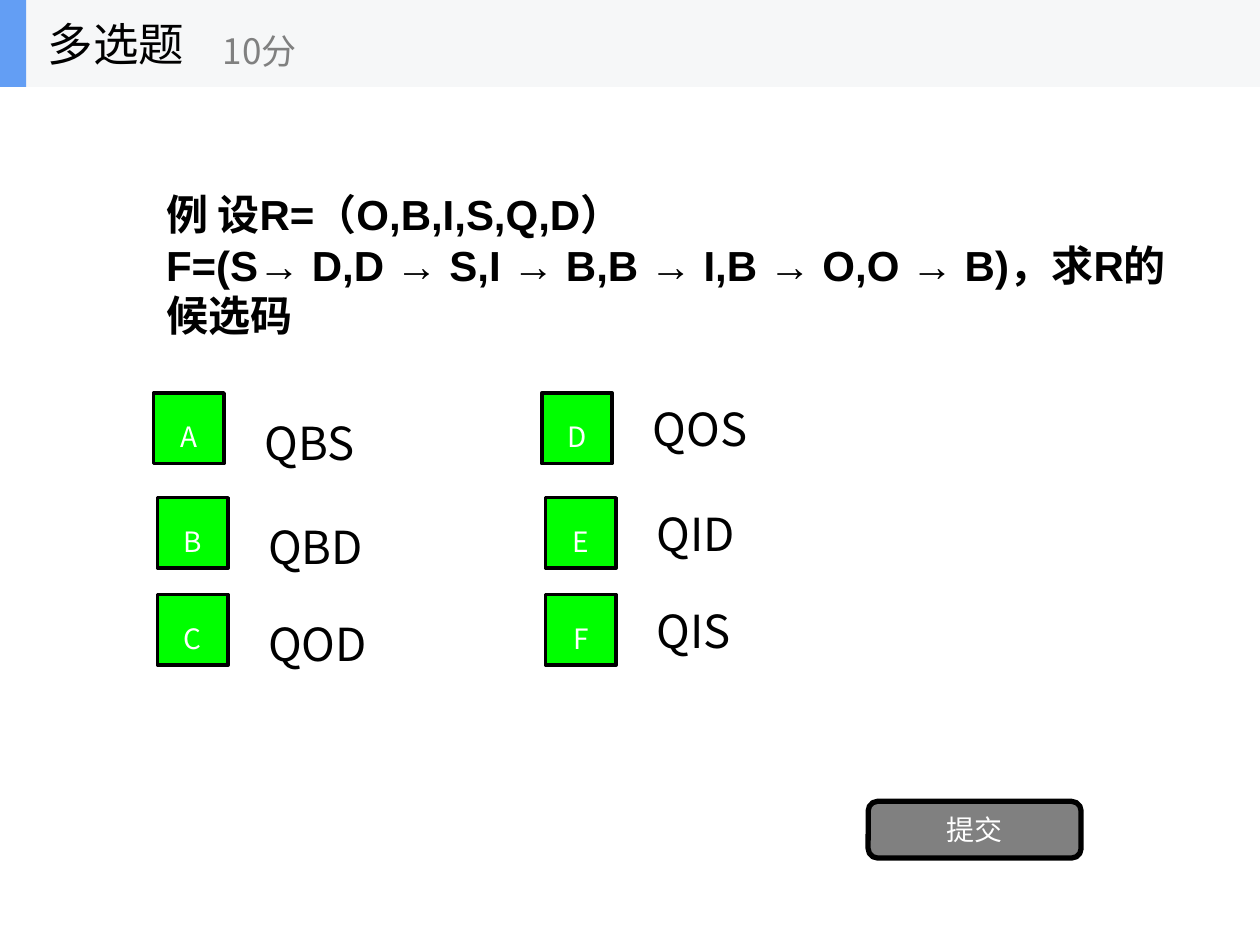
from pptx import Presentation
from pptx.dml.color import RGBColor
from pptx.enum.shapes import MSO_SHAPE
from pptx.enum.text import MSO_ANCHOR, PP_ALIGN
from pptx.oxml.ns import qn
from pptx.util import Pt

RECTANGLE, ROUNDED = MSO_SHAPE.RECTANGLE, MSO_SHAPE.ROUNDED_RECTANGLE
LEFT, CENTER = PP_ALIGN.LEFT, PP_ALIGN.CENTER
TOP, MIDDLE = MSO_ANCHOR.TOP, MSO_ANCHOR.MIDDLE

BLACK = RGBColor(0x00, 0x00, 0x00)
WHITE = RGBColor(0xFF, 0xFF, 0xFF)
GRAY = RGBColor(0x80, 0x80, 0x80)
GREEN = RGBColor(0x00, 0xFF, 0x00)
BLUE = RGBColor(0x63, 0x9E, 0xF4)
PALE = RGBColor(0xF6, 0xF7, 0xF8)
CJK_FONT = "Noto Sans CJK SC"

QUESTION_TYPE, POINTS, SUBMIT = "多选题", "10分", "提交"
QUESTION = [
    "例 设R=（O,B,I,S,Q,D）",
    "F=(S→ D,D → S,I → B,B → I,B → O,O → B)，求R的候选码",
]
# Each column: square left, label line spacing, (letter, answer) from top to bottom
COLUMNS = [
    (90, 1.5, [("A", "QBS"), ("B", "QBD"), ("C", "QOD")]),
    (311.8, 1, [("D", "QOS"), ("E", "QID"), ("F", "QIS")]),
]
# Each row: square top, shift of the row to the right
ROWS = [(224.6, -2.2), (284.4, 0), (339.8, 0)]
SQUARE = 40.3
LABEL_OFFSET, LABEL_WIDTH, LABEL_HEIGHT = 56.2, 200, 50.4
HEADER_HEIGHT = 49.7


def write(shape, *lines, size, color=BLACK, font=CJK_FONT, bold=False,
          align=LEFT, anchor=MIDDLE, spacing=1):
    frame = shape.text_frame
    frame.word_wrap = True
    frame.vertical_anchor = anchor
    paragraph = frame.paragraphs[0]
    paragraph.alignment = align
    paragraph.line_spacing = spacing
    for index, line in enumerate(lines):
        if index:
            paragraph.add_line_break()
        run = paragraph.add_run()
        run.text = line
        run.font.size = Pt(size)
        run.font.bold = bold
        run.font.name = font
        run.font.color.rgb = color
        east_asian = run._r.get_or_add_rPr().makeelement(
            qn("a:ea"), {"typeface": CJK_FONT})
        run.font._element.find(qn("a:latin")).addnext(east_asian)


def add_box(slide, left, top, width, height, fill, kind=RECTANGLE, line_width=0):
    shape = slide.shapes.add_shape(kind, Pt(left), Pt(top), Pt(width), Pt(height))
    shape.shadow.inherit = False
    shape.fill.solid()
    shape.fill.fore_color.rgb = fill
    if line_width:
        shape.line.color.rgb = BLACK
        shape.line.width = Pt(line_width)
    else:
        shape.line.fill.background()
    return shape


def add_text(slide, left, top, width, height, *lines, **text_format):
    box = slide.shapes.add_textbox(Pt(left), Pt(top), Pt(width), Pt(height))
    write(box, *lines, **text_format)


def add_header(slide):
    add_box(slide, 0, 0, 720, HEADER_HEIGHT, PALE)
    add_box(slide, 0, 0, 15, HEADER_HEIGHT, BLUE)
    add_text(slide, 20.2, 0, 150, HEADER_HEIGHT, QUESTION_TYPE, size=26)
    add_text(slide, 120.2, 8.6, 180, 40.3, POINTS, size=20, color=GRAY)


def add_options(slide):
    label_rise = (LABEL_HEIGHT - SQUARE) / 2
    for column_left, spacing, options in COLUMNS:
        for (top, shift), (letter, answer) in zip(ROWS, options):
            left = column_left + shift
            square = add_box(slide, left, top, SQUARE, SQUARE, GREEN, line_width=2)
            write(square, letter, size=16, color=WHITE, align=CENTER, spacing=1.5)
            add_text(slide, left + LABEL_OFFSET, top - label_rise,
                     LABEL_WIDTH, LABEL_HEIGHT, answer, size=26, spacing=spacing)


def main():
    presentation = Presentation()
    presentation.slide_width, presentation.slide_height = Pt(720), Pt(540)
    slide = presentation.slides.add_slide(presentation.slide_layouts[6])
    add_header(slide)
    add_text(slide, 87.8, 104.4, 589.7, 94.3, *QUESTION,
             size=24, font="Arial", bold=True, anchor=TOP)
    add_options(slide)
    button = add_box(slide, 496.1, 457.9, 121.7, 32.4, GRAY, ROUNDED, line_width=3)
    write(button, SUBMIT, size=16, color=WHITE, align=CENTER)
    presentation.save("out.pptx")


if __name__ == "__main__":
    main()
